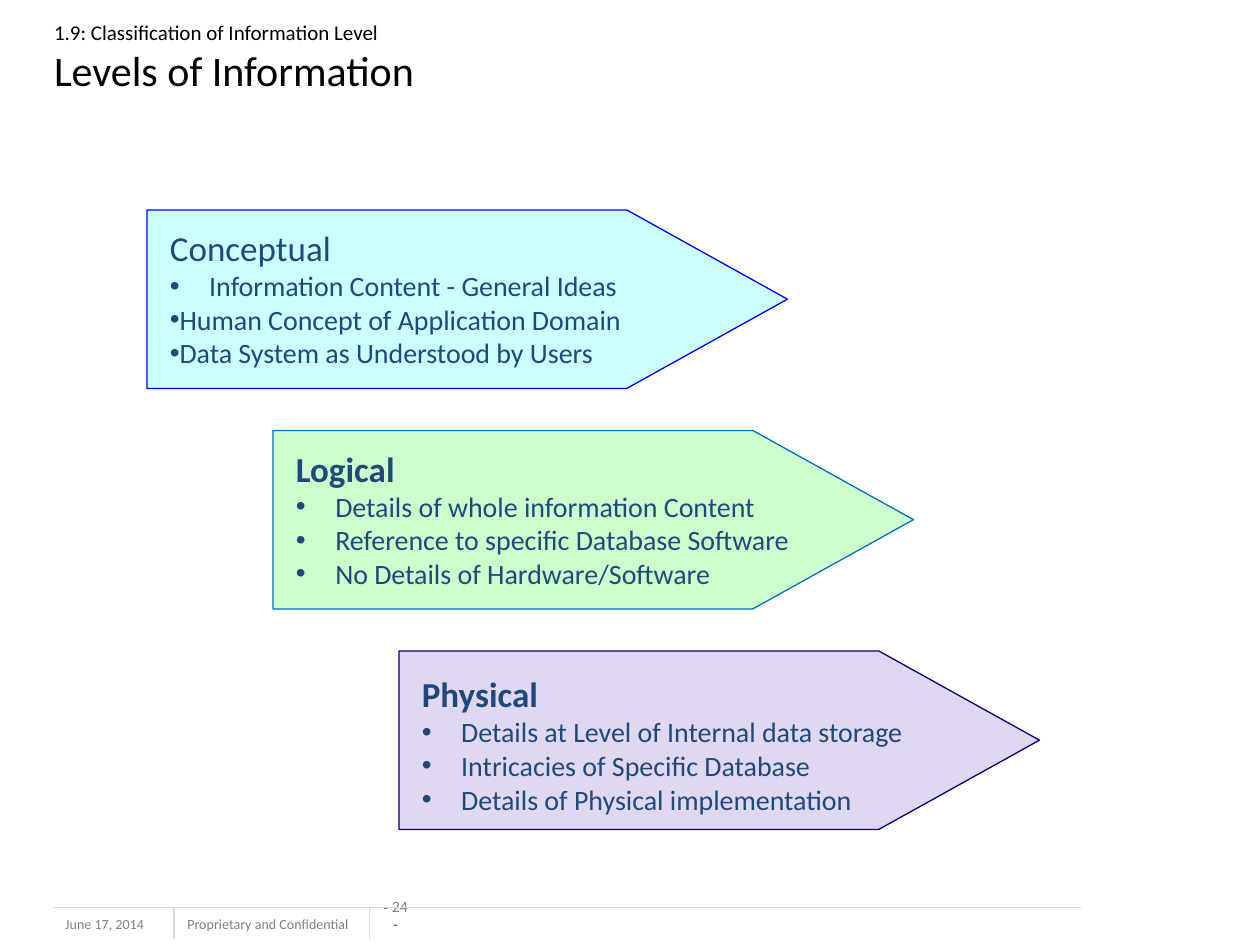
from pptx import Presentation
from pptx import util as u
from pptx.dml.color import RGBColor
from pptx.enum import shapes, text
from lxml import etree

Pt = u.Pt
NS = "{http://schemas.openxmlformats.org/drawingml/2006/main}"
hue = {"navy": "1F497D", "gray": "808080", "rule": "D9D9D9", "black": "000000",
       "cyan": "CCFFFF", "blue": "0000FF", "green": "CCFFCC", "azure": "0070C0",
       "lilac": "E0D7F1", "dark": "000080"}


def add_text(home, left, top, width, height, lines):
    box = home.add_textbox(Pt(left), Pt(top), Pt(width), Pt(height))
    frame = box.text_frame
    frame.word_wrap = True
    frame.text = "\n".join(lines)
    return frame


def style(run, size, color, face="Calibri", bold=False):
    font = run.font
    font.size, font.name, font.bold = Pt(size), face, bold
    font.color.rgb = RGBColor.from_string(hue[color])


deck = Presentation()
deck.slide_width, deck.slide_height = Pt(720), Pt(540)
slide = deck.slides.add_slide(deck.slide_layouts[6])
items = slide.shapes

# Footer texts
for left, width, words in [(30.2, 96, "June 17, 2014"),
                           (100, 113, "Proprietary and Confidential")]:
    frame = add_text(items, left, 519.8, width, 18, [words])
    style(frame.paragraphs[0].runs[0], 8, "gray")

# Page number
frame = add_text(items, 216.7, 522, 18.7, 10.8, [""])
frame.margin_left = frame.margin_right = frame.margin_top = frame.margin_bottom = 0
frame.vertical_anchor = text.MSO_ANCHOR.BOTTOM
para = frame.paragraphs[0]
para.alignment = text.PP_ALIGN.CENTER
for words, size, color, face in [("- ", 8, "navy", "Arial"), ("24 ", 9, "gray", "Calibri"),
                                 ("-", 8, "navy", "Arial")]:
    run = para.add_run()
    run.text = words
    style(run, size, color, face)

# Footer rules
for x1, y1, x2, y2 in [(617.8, 518.4, 30.2, 518.4), (99.4, 518.4, 99.4, 536.4),
                       (211, 518.4, 211, 536.4)]:
    rule = items.add_connector(shapes.MSO_CONNECTOR.STRAIGHT, Pt(x1), Pt(y1), Pt(x2), Pt(y2))
    rule.line.color.rgb = RGBColor.from_string(hue["rule"])
    rule.line.width = Pt(0.75)
    etree.SubElement(rule._element.spPr, NS + "effectLst")

# Title
frame = add_text(items, 23.8, 1.4, 648, 62.6,
                 ["1.9: Classification of Information Level\vLevels of Information"])
frame.vertical_anchor = text.MSO_ANCHOR.MIDDLE
for run, size in zip(frame.paragraphs[0].runs, (12, 24)):
    style(run, size, "black")

# Level arrows: fill, line, text drop, text width, bold head, bullet margins, lines
levels = [
    ("cyan", "blue", 6, 318, False, (22.5, 0, 0),
     ["Conceptual", "Information Content - General Ideas",
      "Human Concept of Application Domain", "Data System as Understood by Users"]),
    ("green", "azure", 6, 342, True, (22.5, 22.5, 22.5),
     ["Logical", "Details of whole information Content",
      "Reference to specific Database Software", "No Details of Hardware/Software"]),
    ("lilac", "dark", 9, 318, True, (22.5, 22.5, 22.5),
     ["Physical", "Details at Level of Internal data storage",
      "Intricacies of Specific Database", "Details of Physical implementation"]),
]
for i, (fill, line, drop, width, bold, pads, lines) in enumerate(levels):
    left, top = 84 + 72 * i, 120 + 126 * i
    group = items.add_group_shape().shapes
    arrow = group.add_shape(shapes.MSO_SHAPE.PENTAGON, Pt(left), Pt(top), Pt(366), Pt(102))
    arrow.adjustments[0] = 0.9
    arrow.shadow.inherit = False
    arrow.fill.solid()
    arrow.fill.fore_color.rgb = RGBColor.from_string(hue[fill])
    arrow.line.color.rgb = RGBColor.from_string(hue[line])
    arrow.line.width = Pt(0.75)

    frame = add_text(group, left + 6, top + drop, width, 89.3, lines)
    head, *points = frame.paragraphs
    style(head.runs[0], 20, "navy", bold=bold)
    for para, pad in zip(points, pads):
        style(para.runs[0], 16, "navy")
        props = para._p.get_or_add_pPr()
        props.set("marL", str(Pt(pad)))
        props.set("indent", str(-Pt(22.5)))
        etree.SubElement(props, NS + "buFont", typeface="Arial")
        etree.SubElement(props, NS + "buChar", char="•")

deck.save("out.pptx")
